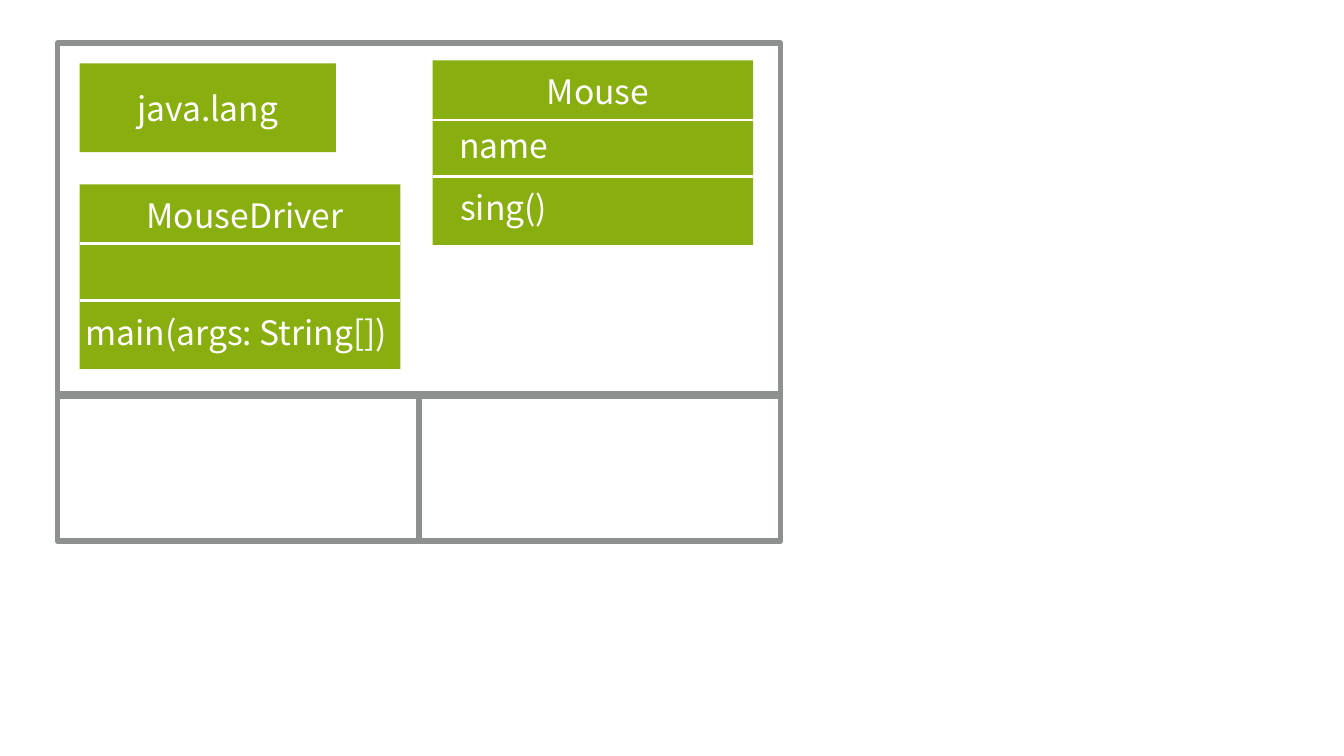
from pptx import Presentation
from pptx.dml.color import RGBColor
from pptx.enum.shapes import MSO_CONNECTOR, MSO_SHAPE
from pptx.enum.text import MSO_ANCHOR, MSO_AUTO_SIZE, PP_ALIGN
from pptx.oxml.ns import qn
from pptx.util import Inches, Pt
from lxml.etree import SubElement

HUES = {"frame": "8E908F", "card": "88AF0F", "text": "FFFFFF"}
FONT = {"name": "Noto Sans CJK KR", "size": Pt(24)}
RULES = (32.24, 63.1)
TITLE = (17.3, 2.73, 68.55, 27.32)
FIELD = (5.03, 32.24, 34.28, 27.32)
METHOD = (5.03, 66.1, 34.28, 27.32)
MAIN = (-1.89, 66.67, 101.57, 27.32)


def hue(key):
    return RGBColor.from_string(HUES[key])


def part(box, left, top, width, height):
    x, y, w, h = box
    return (int(x + w * left / 100), int(y + h * top / 100),
            int(w * width / 100), int(h * height / 100))


def style(item, values):
    for key, value in values.items():
        setattr(item, key, value)


def write(frame, words):
    para = frame.paragraphs[0]
    para.alignment = PP_ALIGN.CENTER
    run = para.add_run()
    run.text = words
    style(run.font, FONT)
    run.font.color.rgb = hue("text")


def block(slide, box, fill=None, line=None):
    shape = slide.shapes.add_shape(MSO_SHAPE.RECTANGLE, *box)
    shape.shadow.inherit = False
    if fill:
        shape.fill.solid()
        shape.fill.fore_color.rgb = hue(fill)
    else:
        shape.fill.background()
    if line:
        style(shape.line, {"width": Pt(4)})
        shape.line.color.rgb = hue(line)
    else:
        shape.line.fill.background()
    return shape


def rule(slide, box, share):
    x, y, w, h = part(box, 0, share, 100, 0)
    line = slide.shapes.add_connector(MSO_CONNECTOR.STRAIGHT, x, y, x + w, y)
    line.line.color.rgb = hue("text")
    line.line.width = Pt(2)
    SubElement(line._element.spPr, qn("a:effectLst"))


def label(slide, box, words, wrap):
    frame = slide.shapes.add_textbox(*box).text_frame
    style(frame, {"word_wrap": wrap, "auto_size": MSO_AUTO_SIZE.SHAPE_TO_FIT_TEXT})
    write(frame, words)


def board(slide, box):
    upper = part(box, 0, 0, 100, 70.85)
    block(slide, upper, line="frame")
    for col in range(2):
        block(slide, part(box, col * 50, 70.45, 50, 29.55), line="frame")
    return upper


def package(slide, box, words):
    frame = block(slide, box, fill="card").text_frame
    frame.vertical_anchor = MSO_ANCHOR.MIDDLE
    write(frame, words)


def card(slide, box, labels):
    block(slide, box, fill="card")
    for share in RULES:
        rule(slide, box, share)
    for words, place, wrap in labels:
        label(slide, part(box, *place), words, wrap)


def main():
    deck = Presentation()
    style(deck, {"slide_width": Inches(13.33), "slide_height": Inches(7.5)})
    slide = deck.slides.add_slide(deck.slide_layouts[6])
    page = (0, 0, deck.slide_width, deck.slide_height)
    upper = board(slide, part(page, 4.28, 5.73, 53.79, 65.87))
    package(slide, part(upper, 3.07, 5.71, 35.43, 25.14), "java.lang")
    card(slide, part(upper, 3.07, 40, 44.35, 52.29),
         [("main(args: String[])", MAIN, False), ("MouseDriver", TITLE, False)])
    card(slide, part(upper, 51.88, 4.86, 44.35, 52.29),
         [("name", FIELD, True), ("Mouse", TITLE, False), ("sing()", METHOD, True)])
    deck.save("out.pptx")


if __name__ == "__main__":
    main()
